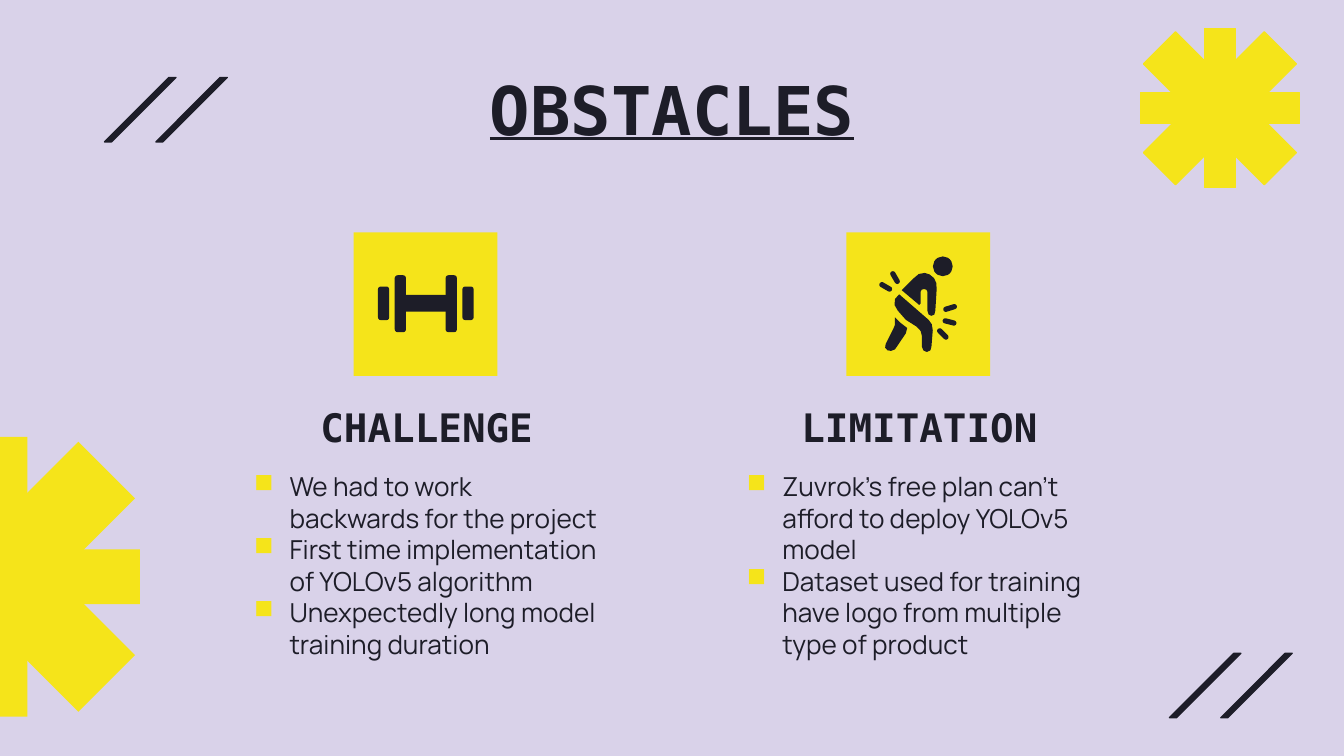
"""Build the Obstacles slide with its two icon columns."""
from pptx import Presentation
from pptx.dml.color import RGBColor
from pptx.enum.shapes import MSO_SHAPE
from pptx.enum.text import MSO_ANCHOR, MSO_AUTO_SIZE, PP_ALIGN
from pptx.oxml.ns import qn
from pptx.util import Pt
from lxml import etree

RECT, ROUND, OVAL = MSO_SHAPE.RECTANGLE, MSO_SHAPE.ROUNDED_RECTANGLE, MSO_SHAPE.OVAL
TIMES, PLUS = MSO_SHAPE.MATH_MULTIPLY, MSO_SHAPE.MATH_PLUS
MIDDLE, BOTTOM = MSO_ANCHOR.MIDDLE, MSO_ANCHOR.BOTTOM
FIT, FIXED = MSO_AUTO_SIZE.TEXT_TO_FIT_SHAPE, MSO_AUTO_SIZE.NONE
CENTER, LEFT = PP_ALIGN.CENTER, PP_ALIGN.LEFT
COLORS = {"back": "D9D2E9", "dark": "1D1D28", "sun": "F5E41A"}
MONO, SANS = "DejaVu Sans Mono", "Manrope"

deck = Presentation()
deck.slide_width, deck.slide_height = Pt(720), Pt(405)
slide = deck.slides.add_slide(deck.slide_layouts[5])
slide.background.fill.solid()
slide.background.fill.fore_color.rgb = RGBColor.from_string(COLORS["back"])


def paint(shape, color, width=0):
    """Give a shape a flat fill and an optional line of the same colour."""
    tone = RGBColor.from_string(COLORS[color])
    shape.shadow.inherit = False
    shape.fill.solid()
    shape.fill.fore_color.rgb = tone
    if width:
        shape.line.color.rgb = tone
        shape.line.width = Pt(width)
    else:
        shape.line.fill.background()
    return shape


def write(shape, lines, font, size, bold, align, anchor, fit):
    """Fill a shape with paragraphs in one style."""
    frame = shape.text_frame
    frame.word_wrap = True
    frame.auto_size = fit
    frame.vertical_anchor = anchor
    frame.margin_left = frame.margin_right = frame.margin_top = Pt(7.2)
    frame.margin_bottom = Pt(0 if anchor == BOTTOM else 7.2)
    frame.text = "\n".join(lines)
    for para in frame.paragraphs:
        para.alignment = align
        if align == LEFT:
            props = para._p.get_or_add_pPr()
            props.set("marL", str(Pt(20)))
            props.set("indent", str(Pt(-19)))
            tint = etree.SubElement(props, qn("a:buClr"))
            etree.SubElement(tint, qn("a:srgbClr"), val=COLORS["sun"])
            etree.SubElement(props, qn("a:buChar"), char="■")
        para.font.name, para.font.size, para.font.bold = font, Pt(size), bold
        para.font.color.rgb = RGBColor.from_string(COLORS["dark"])


title = slide.shapes.title
title.left, title.top, title.width, title.height = Pt(56), Pt(29), Pt(608), Pt(58)
write(title, ["OBSTACLES"], MONO, 36, True, CENTER, MIDDLE, FIXED)
title.text_frame.paragraphs[0].font.underline = True

for mid, row, cross, plus, edge in [(0, 309, 220, 204, 0), (653.5, 58, 124.5, 116, 0.75)]:
    for kind, size, thick in [(TIMES, cross, 0.195), (PLUS, plus, 0.144)]:
        star = slide.shapes.add_shape(
            kind, Pt(mid - size / 2), Pt(row - size / 2), Pt(size), Pt(size))
        star.adjustments[0] = thick
        star.rotation = 90
        paint(star, "sun", edge)

columns = [
    (128, "CHALLENGE", [
        "We had to work backwards for the project",
        "First time implementation of YOLOv5 algorithm",
        "Unexpectedly long model training duration"]),
    (392, "LIMITATION", [
        "Zuvrok's free plan can't afford to deploy YOLOv5 model",
        "Dataset used for training have logo from multiple type of product"]),
]
for left, head, points in columns:
    tile = slide.shapes.add_shape(RECT, Pt(left + 61.5), Pt(124.5), Pt(77), Pt(77))
    paint(tile, "sun")
    label = slide.shapes.add_textbox(Pt(left), Pt(217.5), Pt(201), Pt(23.5))
    write(label, [head], MONO, 21, True, CENTER, BOTTOM, FIXED)
    body = slide.shapes.add_textbox(Pt(left), Pt(245), Pt(201), Pt(116.5))
    write(body, points, SANS, 14, False, LEFT, MSO_ANCHOR.TOP, FIT)

dumbbell = [
    (ROUND, 202.5, 153.5, 6, 18), (ROUND, 211.5, 147.5, 6, 30.5),
    (RECT, 217, 158, 22.5, 9),
    (ROUND, 238.75, 147.5, 6, 30.5), (ROUND, 247.75, 153.5, 6, 18),
]
for kind, left, top, width, height in dumbbell + [(OVAL, 499.8, 137.4, 10.6, 10.6)]:
    part = slide.shapes.add_shape(kind, Pt(left), Pt(top), Pt(width), Pt(height))
    if kind == ROUND:
        part.adjustments[0] = 0.25
    paint(part, "dark")

sparks = [(509, 165, -17), (508.7, 172.5, 14), (505.1, 178.9, 45),
          (474.5, 153.7, 30), (479.5, 148.7, 60)]
for mid, row, turn in sparks:
    spark = slide.shapes.add_shape(ROUND, Pt(mid - 3.75), Pt(row - 1.4), Pt(7.5), Pt(2.8))
    spark.adjustments[0] = 0.5
    spark.rotation = turn
    paint(spark, "dark")

leg = [(479.5, 170), (479.5, 174), (478.8, 175.7), (474.5, 184.3), (474.2, 186.3),
       (475.5, 187.7), (477.4, 188), (479.5, 187.2), (485.3, 178.6), (486, 175.7),
       (482.5, 173)]
hip = [(481.7, 157.7), (479.5, 160.2), (479.2, 163.4), (481, 166.5), (485.3, 171.4),
       (491, 175), (493.2, 177.3), (493.9, 180), (493.9, 185.8), (494.7, 187.8),
       (496.5, 188.6), (498.4, 187.8), (499, 185.8), (499.7, 177), (499.2, 173.8),
       (497.5, 171.4)]
torso = [(495.4, 146.2), (492.2, 146.8), (489.6, 149), (483.1, 155.5), (492.5, 163.4),
         (493.2, 162.7), (493.2, 156.2), (493.8, 155.2), (495, 154.8), (496.3, 155.2),
         (496.8, 156.2), (496.8, 166.3), (497.5, 168.5), (499, 169.2), (500.6, 168.5),
         (501.1, 166.3), (501.8, 154.8), (501.6, 151.6), (500.4, 149), (498, 147)]
outlines = [(leg, 0), (hip, 0), (torso, 0)]
for left, top in [(56, 41.5), (626.5, 350)]:
    for gap in (0, 27.5):
        slash = [(34.5, 0), (0, 34.5), (3.75, 34.5), (38.25, 0)]
        outlines.append(([(left + gap + x, top + y) for x, y in slash], 0.75))
for dots, edge in outlines:
    spots = [(Pt(x), Pt(y)) for x, y in dots]
    pen = slide.shapes.build_freeform(*spots[0])
    pen.add_line_segments(spots[1:], close=True)
    paint(pen.convert_to_shape(), "dark", edge)

deck.save("out.pptx")
